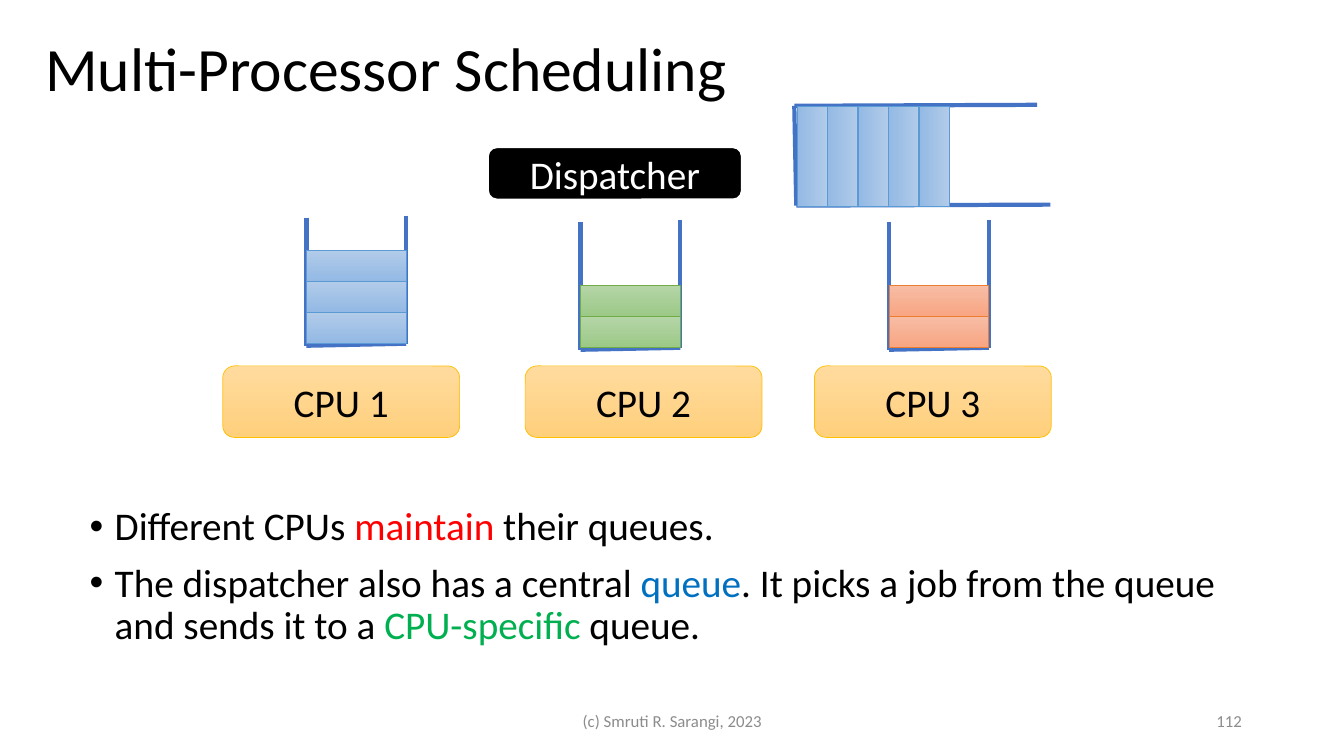
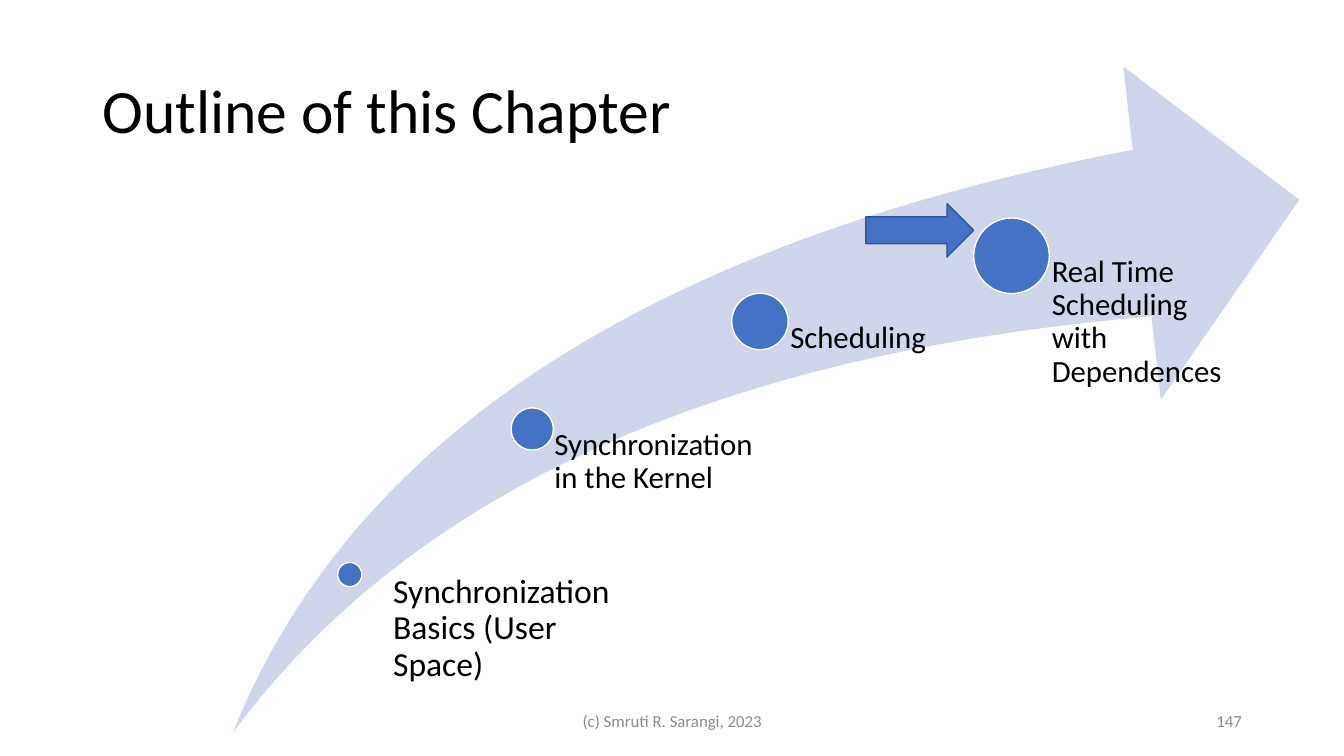
"""Build two operating-systems slides on multi-processor scheduling and the chapter outline."""
from dataclasses import dataclass
from typing import NamedTuple, Optional

from lxml.etree import SubElement
from pptx import Presentation
from pptx.dml.color import RGBColor
from pptx.enum.shapes import MSO_CONNECTOR as Connector, MSO_SHAPE as Preset
from pptx.enum.text import MSO_ANCHOR as Anchor, PP_ALIGN as Align
from pptx.oxml.ns import qn
from pptx.shapes.autoshape import Shape
from pptx.slide import Slide
from pptx.text.text import TextFrame
from pptx.util import Pt


class Tint(NamedTuple):
    top: str
    bottom: str
    edge: str


class Box(NamedTuple):
    left: float
    top: float
    width: float
    height: float


class Phrase(NamedTuple):
    text: str
    color: str


@dataclass(frozen=True)
class Theme:
    font: str = "Calibri"
    ink: str = "000000"
    paper: str = "FFFFFF"
    muted: str = "8C8C8C"
    accent: str = "4472C4"
    accent_edge: str = "325491"
    swoosh: str = "CFD5EA"
    red: str = "FF0000"
    blue: str = "0070C0"
    green: str = "00B050"
    cpu: Tint = Tint("FFDB9E", "FFD07C", "FFC000")
    blue_job: Tint = Tint("B1CBE9", "93B9E4", "5B9BD5")
    green_job: Tint = Tint("B5D5A7", "9CC987", "70AD47")
    orange_job: Tint = Tint("F7BDA5", "F8A582", "ED7D31")
    title_size: float = 44
    body_size: float = 28
    first_label_size: float = 24
    label_size: float = 22
    footer_size: float = 12
    tight: float = 0.9


THEME = Theme()
FOOTER = "(c) Smruti R. Sarangi, 2023"


@dataclass(frozen=True)
class Processor:
    name: str
    left: float
    queue_left: float
    queue_top: float
    jobs: int
    tint: Tint


@dataclass(frozen=True)
class Milestone:
    topic: str
    x: float
    y: float
    diameter: float
    indent: float
    label_shift: float = 0
    label_width: float = 159.84
    size: float = THEME.label_size


PROCESSORS = (
    Processor("CPU 1", 159.12, 218.88, 154.08, 3, THEME.blue_job),
    Processor("CPU 2", 375.12, 414.72, 156.96, 2, THEME.green_job),
    Processor("CPU 3", 581.76, 635.04, 156.96, 2, THEME.orange_job),
)
MILESTONES = (
    Milestone("Synchronization Basics (User Space)", 249.84, 410.4, 17.28, 9.36,
              21.6, 170.64, THEME.first_label_size),
    Milestone("Synchronization in the Kernel", 380.16, 306.4, 30.24, 15.84),
    Milestone("Scheduling", 542.88, 229.68, 40.32, 21.6),
    Milestone("Real Time Scheduling with Dependences", 722.5, 182.7, 54, 28.8),
)
BULLETS = (
    (Phrase("Different CPUs ", THEME.ink), Phrase("maintain", THEME.red),
     Phrase(" their queues.", THEME.ink)),
    (Phrase("The dispatcher also has a central ", THEME.ink), Phrase("queue", THEME.blue),
     Phrase(". It picks a job from the queue and sends it to a ", THEME.ink),
     Phrase("CPU-specific", THEME.green), Phrase(" queue.", THEME.ink)),
)
JOB_LENGTH = 71.28
JOB_DEPTH = 21.6
JOB_PITCH = 22
CENTRAL_PITCH = 21.8
WALL_HEIGHT = 91.44
WALL_SKEW = 1.44


def rgb(color: str) -> RGBColor:
    return RGBColor.from_string(color)


def write(frame: TextFrame, text: str, size: float, color: str, align: Align = Align.LEFT,
          anchor: Anchor = Anchor.MIDDLE, spacing: float = 1.0) -> None:
    frame.word_wrap = True
    frame.vertical_anchor = anchor
    frame.text = text
    paragraph = frame.paragraphs[0]
    paragraph.alignment = align
    paragraph.line_spacing = spacing
    font = paragraph.runs[0].font
    font.name, font.size = THEME.font, Pt(size)
    font.color.rgb = rgb(color)


def text_frame(slide: Slide, box: Box) -> TextFrame:
    return slide.shapes.add_textbox(*map(Pt, box)).text_frame


def outlined(slide: Slide, preset: Preset, box: Box, edge: Optional[str], weight: float) -> Shape:
    shape = slide.shapes.add_shape(preset, *map(Pt, box))
    shape.shadow.inherit = False
    if edge is None:
        shape.line.fill.background()
    else:
        shape.line.color.rgb = rgb(edge)
        shape.line.width = Pt(weight)
    return shape


def solid(slide: Slide, preset: Preset, box: Box, color: str,
          edge: Optional[str] = None, weight: float = 1) -> Shape:
    shape = outlined(slide, preset, box, edge, weight)
    shape.fill.solid()
    shape.fill.fore_color.rgb = rgb(color)
    return shape


def shaded(slide: Slide, preset: Preset, box: Box, tint: Tint) -> Shape:
    shape = outlined(slide, preset, box, tint.edge, 0.5)
    shape.fill.gradient()
    shape.fill.gradient_angle = 270
    for stop, color in zip(shape.fill.gradient_stops, (tint.top, tint.bottom)):
        stop.color.rgb = rgb(color)
    return shape


def wall(slide: Slide, x1: float, y1: float, x2: float, y2: float) -> None:
    line = slide.shapes.add_connector(Connector.STRAIGHT, Pt(x1), Pt(y1), Pt(x2), Pt(y2))
    line.line.color.rgb = rgb(THEME.accent)
    line.line.width = Pt(3)
    SubElement(line._element.spPr, qn("a:effectLst"))


def draw_frame(slide: Slide, title: str, left: float, top: float, number: int) -> None:
    write(text_frame(slide, Box(left, top, 828, 104.4)), title, THEME.title_size, THEME.ink,
          spacing=THEME.tight)
    write(text_frame(slide, Box(318.24, 500.4, 324, 28.8)), FOOTER, THEME.footer_size,
          THEME.muted, Align.CENTER)
    write(text_frame(slide, Box(678.24, 500.4, 216, 28.8)), str(number), THEME.footer_size,
          THEME.muted, Align.RIGHT)


def draw_bullets(slide: Slide) -> None:
    frame = text_frame(slide, Box(56.88, 358.56, 828, 115.92))
    frame.word_wrap = True
    for index, phrases in enumerate(BULLETS):
        paragraph = frame.add_paragraph() if index else frame.paragraphs[0]
        properties = paragraph._p.get_or_add_pPr()
        properties.set("marL", str(Pt(18)))
        properties.set("indent", str(-Pt(18)))
        SubElement(properties, qn("a:buFont")).set("typeface", "Arial")
        SubElement(properties, qn("a:buChar")).set("char", "•")
        paragraph.line_spacing = THEME.tight
        paragraph.space_before = Pt(10 if index else 0)
        for phrase in phrases:
            run = paragraph.add_run()
            run.text = phrase.text
            run.font.name, run.font.size = THEME.font, Pt(THEME.body_size)
            run.font.color.rgb = rgb(phrase.color)


def draw_processor(slide: Slide, cpu: Processor) -> None:
    label = shaded(slide, Preset.ROUNDED_RECTANGLE, Box(cpu.left, 261.36, 169.2, 51.12), THEME.cpu)
    write(label.text_frame, cpu.name, THEME.body_size, THEME.ink, Align.CENTER)
    left, right = cpu.queue_left, cpu.queue_left + JOB_LENGTH
    top, floor = cpu.queue_top, cpu.queue_top + WALL_HEIGHT
    wall(slide, left, top + WALL_SKEW, left, floor + WALL_SKEW)
    wall(slide, right, top, right, floor)
    wall(slide, right, floor, left, floor + WALL_SKEW)
    for job in range(cpu.jobs):
        job_top = top + 69.12 - job * JOB_PITCH
        shaded(slide, Preset.RECTANGLE, Box(left, job_top, JOB_LENGTH, JOB_PITCH), cpu.tint)


def draw_central_queue(slide: Slide) -> None:
    wall(slide, 740.88, 74.88, 567.36, 75.6)
    wall(slide, 750.24, 146.16, 568.8, 146.88)
    wall(slide, 568.8, 146.88, 567.36, 75.6)
    for job in range(5):
        middle = 580 + job * CENTRAL_PITCH
        box = Box(middle - JOB_LENGTH / 2, 100.8, JOB_LENGTH, JOB_DEPTH)
        shaded(slide, Preset.RECTANGLE, box, THEME.blue_job).rotation = 90


def draw_milestone(slide: Slide, stop: Milestone) -> None:
    radius = stop.diameter / 2
    solid(slide, Preset.OVAL, Box(stop.x - radius, stop.y - radius, stop.diameter, stop.diameter),
          THEME.accent, THEME.paper)
    label = text_frame(slide, Box(stop.x + stop.label_shift, stop.y, stop.label_width,
                                  524.16 - stop.y))
    label.margin_left = Pt(stop.indent)
    label.margin_top = label.margin_right = label.margin_bottom = Pt(0)
    write(label, stop.topic, stop.size, THEME.ink, anchor=Anchor.TOP, spacing=THEME.tight)


def build_scheduling(slide: Slide) -> None:
    draw_frame(slide, "Multi-Processor Scheduling", 25.2, -1.44, 112)
    draw_bullets(slide)
    for cpu in PROCESSORS:
        draw_processor(slide, cpu)
    dispatcher = solid(slide, Preset.ROUNDED_RECTANGLE, Box(348.48, 105.12, 181.44, 37.44),
                       THEME.ink, THEME.paper, 1.5)
    write(dispatcher.text_frame, "Dispatcher", THEME.body_size, THEME.paper, Align.CENTER)
    draw_central_queue(slide)


def build_outline(slide: Slide) -> None:
    swoosh = solid(slide, Preset.SWOOSH_ARROW, Box(166.32, 47.52, 761.76, 475.92), THEME.swoosh)
    swoosh.adjustments[0] = swoosh.adjustments[1] = 0.25
    draw_frame(slide, "Outline of this Chapter", 66.24, 28.8, 147)
    for stop in MILESTONES:
        draw_milestone(slide, stop)
    solid(slide, Preset.RIGHT_ARROW, Box(618.48, 145.44, 77.04, 38.16),
          THEME.accent, THEME.accent_edge)


def main() -> None:
    deck = Presentation()
    deck.slide_width, deck.slide_height = Pt(960), Pt(540)
    for build in (build_scheduling, build_outline):
        build(deck.slides.add_slide(deck.slide_layouts[6]))
    deck.save("out.pptx")


if __name__ == "__main__":
    main()
